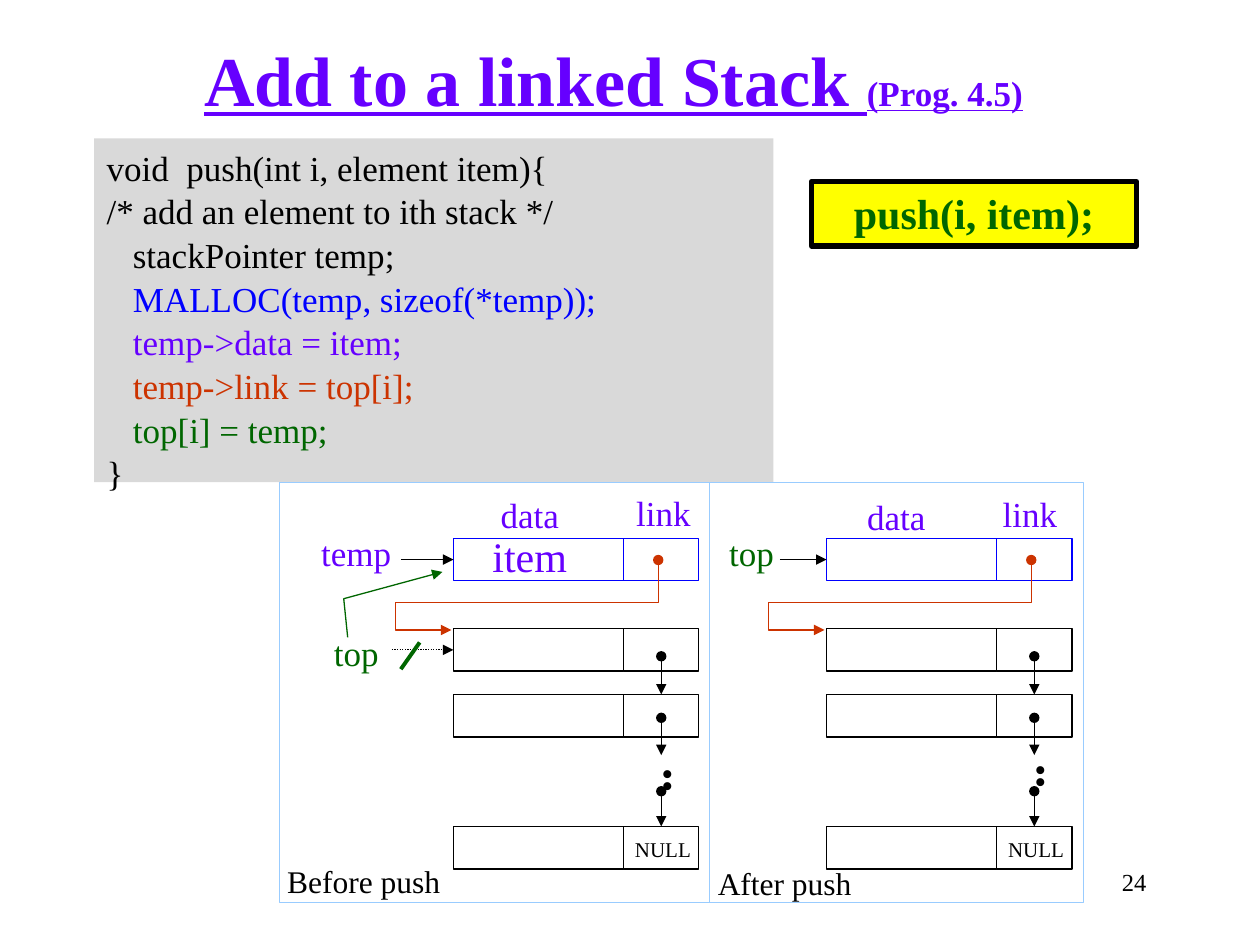
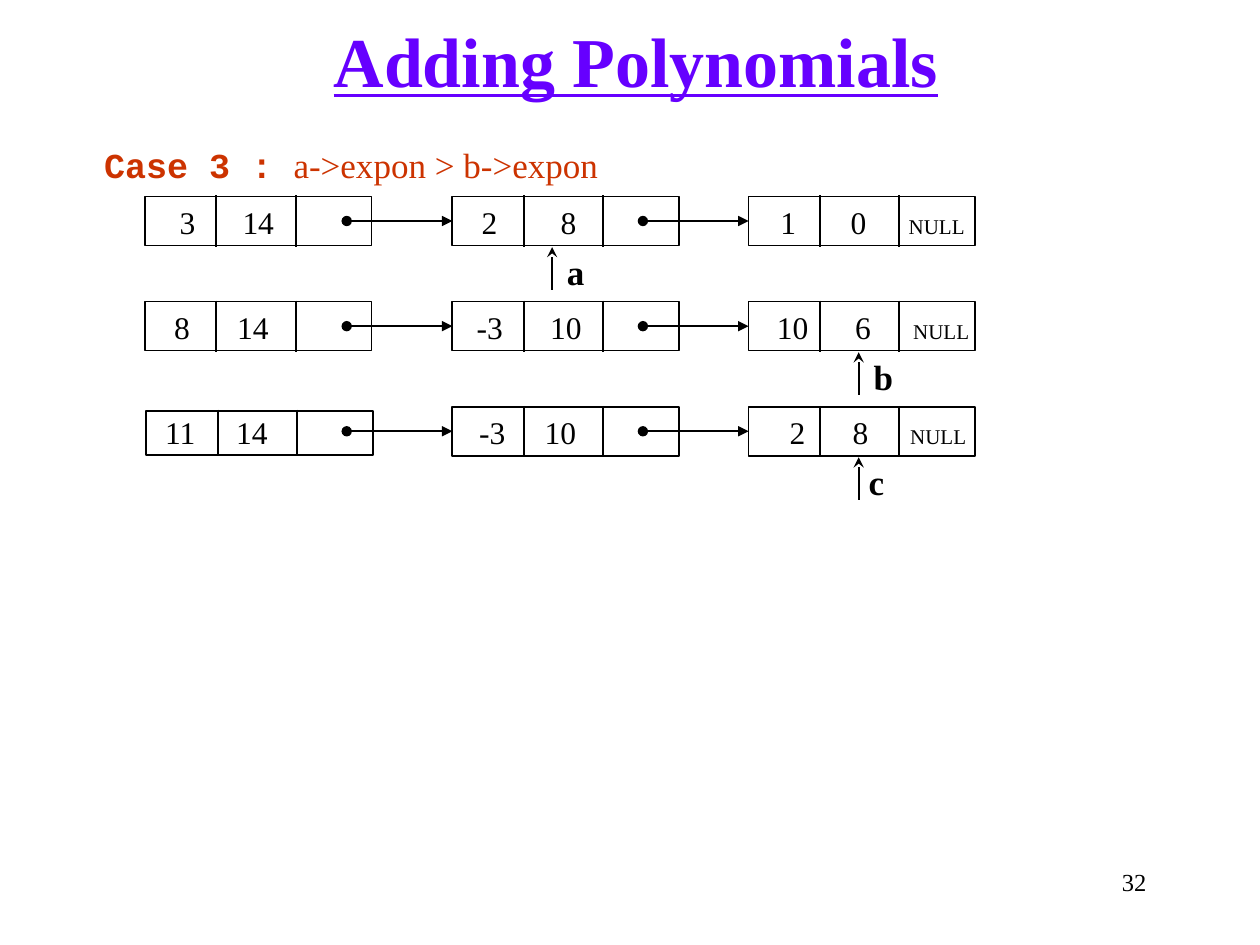
from dataclasses import dataclass, field
from typing import Any, NamedTuple, Optional

import lxml.etree
import pptx
import pptx.dml.color
import pptx.enum.dml
import pptx.enum.shapes
import pptx.enum.text
import pptx.oxml.ns
import pptx.util

Cm = pptx.util.Cm
ALIGN = pptx.enum.text.PP_ALIGN
ANCHOR = pptx.enum.text.MSO_ANCHOR
qn = pptx.oxml.ns.qn

# Shared colours and text formats
BLACK, VIOLET, BLUE, RED, GREEN = "000000", "6600FF", "0000FF", "CC3300", "006600"
GREY, YELLOW, PALE_BLUE = "D9D9D9", "FFFF00", "99CCFF"
BASE = {"name": "Times New Roman", "size": pptx.util.Pt(18), "bold": False}
BOLD_20 = {"size": pptx.util.Pt(20), "bold": True}
TITLE = {"size": pptx.util.Pt(40), "bold": True, "underline": True}
SMALL = {"size": pptx.util.Pt(12)}
SIZE_20 = {"size": pptx.util.Pt(20)}
SIZE_24 = {"size": pptx.util.Pt(24)}


class Box(NamedTuple):
    left: float
    top: float
    width: float
    height: float


class Run(NamedTuple):
    text: str
    style: dict[str, Any] = {}
    color: str = BLACK


@dataclass
class Label:
    box: Box
    lines: list[list[Run]]
    align: Any = ALIGN.LEFT
    frame: dict[str, Any] = field(default_factory=dict)


@dataclass
class Line:
    start: tuple[float, float]
    end: tuple[float, float]
    color: str = BLACK
    width: float = 0.75
    head: Optional[str] = None
    tail: Optional[str] = None
    dash: Any = None
    target: Any = None
    site: int = 0


@dataclass
class Term:
    """A polynomial node: its texts, each with a distance from the node's left side."""
    entries: list[tuple[str, float]]
    box: Box


class Pointer(NamedTuple):
    name: str
    x: float
    row: int
    text_shift: float


def rgb(color: str) -> pptx.dml.color.RGBColor:
    return pptx.dml.color.RGBColor.from_string(color)


def lengths(values: Any) -> list[int]:
    return [Cm(value) for value in values]


# Drawing functions
def write(shape: Any, lines: list[list[Run]], align: Any, frame: dict[str, Any]) -> None:
    text_frame = shape.text_frame
    for name, value in ({"word_wrap": True, "vertical_anchor": ANCHOR.TOP} | frame).items():
        setattr(text_frame, name, value)
    for index, line in enumerate(lines):
        paragraph = text_frame.add_paragraph() if index else text_frame.paragraphs[0]
        paragraph.alignment = align
        for part in line:
            run = paragraph.add_run()
            run.text = part.text
            for name, value in (BASE | part.style).items():
                setattr(run.font, name, value)
            run.font.color.rgb = rgb(part.color)


def draw_label(slide: Any, label: Label) -> Any:
    shape = slide.shapes.add_textbox(*lengths(label.box))
    write(shape, label.lines, label.align, label.frame)
    return shape


def draw_rectangle(slide: Any, box: Box, line: Optional[str] = BLACK,
                   width: float = 0.75, fill: Optional[str] = None) -> Any:
    shape = slide.shapes.add_shape(pptx.enum.shapes.MSO_SHAPE.RECTANGLE, *lengths(box))
    shape.shadow.inherit = False
    if fill:
        shape.fill.solid()
        shape.fill.fore_color.rgb = rgb(fill)
    else:
        shape.fill.background()
    if line:
        shape.line.color.rgb = rgb(line)
        shape.line.width = pptx.util.Pt(width)
    else:
        shape.line.fill.background()
    return shape


def add_ends(shape: Any, head: Optional[str], tail: Optional[str]) -> None:
    outline = shape.element.spPr.find(qn("a:ln"))
    for tag, kind in (("a:headEnd", head), ("a:tailEnd", tail)):
        if kind:
            lxml.etree.SubElement(outline, qn(tag), type=kind)


def draw_line(slide: Any, line: Line) -> None:
    connector = slide.shapes.add_connector(
        pptx.enum.shapes.MSO_CONNECTOR.STRAIGHT, *lengths(line.start + line.end))
    if line.target is not None:
        connector.end_connect(line.target, line.site)
    connector.line.color.rgb = rgb(line.color)
    connector.line.width = pptx.util.Pt(line.width)
    if line.dash:
        connector.line.dash_style = line.dash
    add_ends(connector, line.head, line.tail)
    lxml.etree.SubElement(connector.element.spPr, qn("a:effectLst"))


def draw_path(slide: Any, points: list[tuple[float, float]], color: str,
              head: Optional[str] = None) -> None:
    first, *rest = [tuple(lengths(point)) for point in points]
    builder = slide.shapes.build_freeform(*first)
    builder.add_line_segments(rest, close=False)
    shape = builder.convert_to_shape()
    shape.shadow.inherit = False
    shape.fill.background()
    shape.line.color.rgb = rgb(color)
    shape.line.width = pptx.util.Pt(0.75)
    add_ends(shape, head, "triangle")


def new_slide(presentation: Any, title_box: Box, title: list[Run], number: str) -> Any:
    slide = presentation.slides.add_slide(presentation.slide_layouts[6])
    draw_label(slide, Label(Box(18.08, 17.35, 5.28, 1.27),
                            [[Run(number, {"size": pptx.util.Pt(14)})]], ALIGN.RIGHT))
    draw_label(slide, Label(title_box, [title], ALIGN.CENTER,
                            {"vertical_anchor": ANCHOR.MIDDLE}))
    return slide


# Linked stack
DATA_WIDTH, LINK_WIDTH, FIELD_HEIGHT = 3.43, 1.52, 0.86
STACK_TOPS = [10.85, 12.67, 14.0, 16.66]
LINK_CENTER = DATA_WIDTH + LINK_WIDTH / 2


def draw_stack(slide: Any, left: float, dots_top: float) -> list[Any]:
    """Draw one stack and return the data fields of its nodes."""
    data_fields, link_fields = [], []
    for index, top in enumerate(STACK_TOPS):
        color = BLACK if index else BLUE
        data_fields.append(draw_rectangle(
            slide, Box(left, top, DATA_WIDTH, FIELD_HEIGHT), color))
        link_fields.append(draw_rectangle(
            slide, Box(left + DATA_WIDTH, top, LINK_WIDTH, FIELD_HEIGHT), color))
    x = left + LINK_CENTER
    for top, target in ((13.23, link_fields[2]), (14.47, None), (15.95, link_fields[3])):
        draw_line(slide, Line((x, top), (x, top + 0.75), head="oval", tail="triangle",
                              target=target))
    draw_path(slide, [(left + 4.13, 11.29), (left + 4.13, 12.14), (left - 1.16, 12.14),
                      (left - 1.16, 12.7), (left - 0.04, 12.7)], RED, "oval")
    draw_label(slide, Label(Box(left + 3.35, 16.74, 1.75, 0.76), [[Run("NULL", SMALL)]],
                            ALIGN.CENTER, {"word_wrap": False}))
    dots = draw_label(slide, Label(
        Box(left + 3.53, dots_top, 1.83, 0.76),
        [[Run("..", {"size": pptx.util.Pt(28), "bold": True})]],
        ALIGN.CENTER, {"word_wrap": False}))
    dots.element.find(".//" + qn("a:bodyPr")).set("vert", "eaVert")
    return data_fields


def build_stack_slide(presentation: Any) -> None:
    slide = new_slide(presentation, Box(0.84, 0.66, 23.06, 1.85),
                      [Run("Add to a linked Stack ", TITLE, VIOLET),
                       Run("(Prog. 4.5)", TITLE | SIZE_20, VIOLET)], "24")

    # Code and call
    code = [("void  push(int i, element item){", BLACK),
            ("/* add an element to ith stack */", BLACK),
            ("   stackPointer temp;", BLACK),
            ("   MALLOC(temp, sizeof(*temp));", BLUE),
            ("   temp->data = item;", VIOLET),
            ("   temp->link = top[i];", RED),
            ("   top[i] = temp;", GREEN),
            ("}", BLACK)]
    listing = draw_rectangle(slide, Box(1.9, 2.79, 13.69, 6.93), None, fill=GREY)
    write(listing, [[Run(text, SIZE_20, color)] for text, color in code], ALIGN.LEFT, {})
    for paragraph in listing.text_frame.paragraphs:
        paragraph.line_spacing = 1.04
    call = draw_rectangle(slide, Box(16.36, 3.66, 6.55, 1.3), BLACK, 3, YELLOW)
    write(call, [[Run("push(i, item);", SIZE_24 | {"bold": True}, GREEN)]], ALIGN.CENTER, {})

    # Panels and stacks
    for panel in (Box(5.64, 9.73, 8.66, 8.46), Box(14.3, 9.73, 7.54, 8.46)):
        draw_rectangle(slide, panel, PALE_BLUE)
    before = draw_stack(slide, 9.14, 15.24)
    after = draw_stack(slide, 16.66, 15.16)

    # Pointers into the stacks
    dotted = pptx.enum.dml.MSO_LINE.ROUND_DOT
    for x, target, dash in ((8.08, before[0], None), (7.9, before[1], dotted),
                            (15.72, after[0], None)):
        y = (target.top + target.height / 2) / Cm(1)
        draw_line(slide, Line((x, y), (target.left / Cm(1), y), tail="triangle",
                              dash=dash, target=target, site=1))
    draw_path(slide, [(7.01, 12.85), (6.93, 12.07), (8.92, 11.53)], GREEN)
    draw_line(slide, Line((8.08, 13.49), (8.46, 12.95), GREEN, 2.25))

    # Labels
    for text, box, style, color in (
            ("top", Box(5.84, 12.6, 2.69, 1.12), SIZE_20, GREEN),
            ("item", Box(9.6, 10.57, 2.16, 1.3), SIZE_24, VIOLET),
            ("temp", Box(6.15, 10.59, 2.06, 1.12), SIZE_20, VIOLET),
            ("top", Box(14.4, 10.59, 1.5, 1.12), SIZE_20, GREEN),
            ("data", Box(9.78, 9.83, 1.8, 1.12), SIZE_20, VIOLET),
            ("link", Box(12.32, 9.78, 2.11, 1.12), SIZE_20, VIOLET),
            ("data", Box(17.17, 9.86, 1.8, 1.12), SIZE_20, VIOLET),
            ("link", Box(19.71, 9.8, 2.11, 1.12), SIZE_20, VIOLET)):
        draw_label(slide, Label(box, [[Run(text, style, color)]], ALIGN.CENTER,
                                {"word_wrap": False}))
    for text, left, top in (("Before push", 5.54, 17.25), ("After push", 14.22, 17.3)):
        draw_label(slide, Label(Box(left, top, 3.66, 1.02), [[Run(text)]]))


# Polynomials
TERM_LEFTS = [2.92, 9.12, 15.09]
ROW_TOP, ROW_PITCH = 3.96, 2.12
TERM_WIDTH, TERM_HEIGHT = 4.57, 0.99
DIVIDERS = (1.44, 3.04)
POLYNOMIALS = [
    [[("3", 0.7), ("14", 1.97)], [("2", 0.59), ("8", 2.18)],
     [("1", 0.64), ("0", 2.06), ("NULL", 3.23)]],
    [[("8", 0.59), ("14", 1.86)], [("-3", 0.49), ("10", 1.97)],
     [("10", 0.57), ("6", 2.15), ("NULL", 3.32)]],
    [[("11", 0.38), ("14", 1.81)], [("-3", 0.54), ("10", 1.86)],
     [("2", 0.83), ("8", 2.1), ("NULL", 3.26)]],
]
POINTERS = [Pointer("a", 11.13, 0, 0.05), Pointer("b", 17.31, 1, 0.05),
            Pointer("c", 17.31, 2, -0.05)]


def draw_term(slide: Any, term: Term, text_top: float) -> Any:
    left, top, width, height = term.box
    node = draw_rectangle(slide, term.box, width=1)
    for divider in DIVIDERS:
        x = left + divider
        draw_line(slide, Line((x, top - 0.02), (x, top + height + 0.02), width=1))
    start = term.entries[0][1]
    runs = [Run(("\t" if index else "") + text, SMALL if text == "NULL" else {})
            for index, (text, _) in enumerate(term.entries)]
    label = draw_label(slide, Label(Box(left + start, text_top, width - start, 1.02), [runs],
                                    frame={"margin_left": 0, "margin_right": 0}))
    properties = label.text_frame.paragraphs[0]._p.get_or_add_pPr()
    tabs = lxml.etree.SubElement(properties, qn("a:tabLst"))
    for _, offset in term.entries[1:]:
        lxml.etree.SubElement(tabs, qn("a:tab"), pos=str(Cm(offset - start)), algn="l")
    return node


def build_polynomial_slide(presentation: Any) -> None:
    slide = new_slide(presentation, Box(1.12, 0.15, 23.39, 2.11),
                      [Run("Adding Polynomials", TITLE, VIOLET)], "32")
    draw_label(slide, Label(
        Box(1.85, 2.77, 10.54, 1.12),
        [[Run("Case 3 : ", BOLD_20 | {"name": "Courier New"}, RED),
          Run("a->expon > b->expon", SIZE_20, RED)]], frame={"word_wrap": False}))

    # Rows of linked terms
    for row, polynomial in enumerate(POLYNOMIALS):
        top = ROW_TOP + row * ROW_PITCH
        for column, entries in enumerate(polynomial):
            left = TERM_LEFTS[column]
            box = Box(left, top, TERM_WIDTH, TERM_HEIGHT)
            if (row, column) == (2, 0):
                box = Box(2.95, 8.28, TERM_WIDTH, 0.89)
            node = draw_term(slide, Term(entries, box), top)
            if column:
                y = top + TERM_HEIGHT / 2
                draw_line(slide, Line((left - 2.13, y), (left, y), width=1, head="oval",
                                      tail="triangle", target=node, site=1))

    # Current positions
    for pointer in POINTERS:
        tip = ROW_TOP + pointer.row * ROW_PITCH + 1.02
        draw_line(slide, Line((pointer.x, tip + 0.86), (pointer.x, tip), width=1,
                              tail="stealth"))
        draw_label(slide, Label(Box(pointer.x + pointer.text_shift, tip - 0.06, 0.95, 1.12),
                                [[Run(pointer.name, BOLD_20)]]))


def main() -> None:
    presentation = pptx.Presentation()
    presentation.slide_width, presentation.slide_height = Cm(25.4), Cm(19.05)
    build_stack_slide(presentation)
    build_polynomial_slide(presentation)
    presentation.save("out.pptx")


if __name__ == "__main__":
    main()
